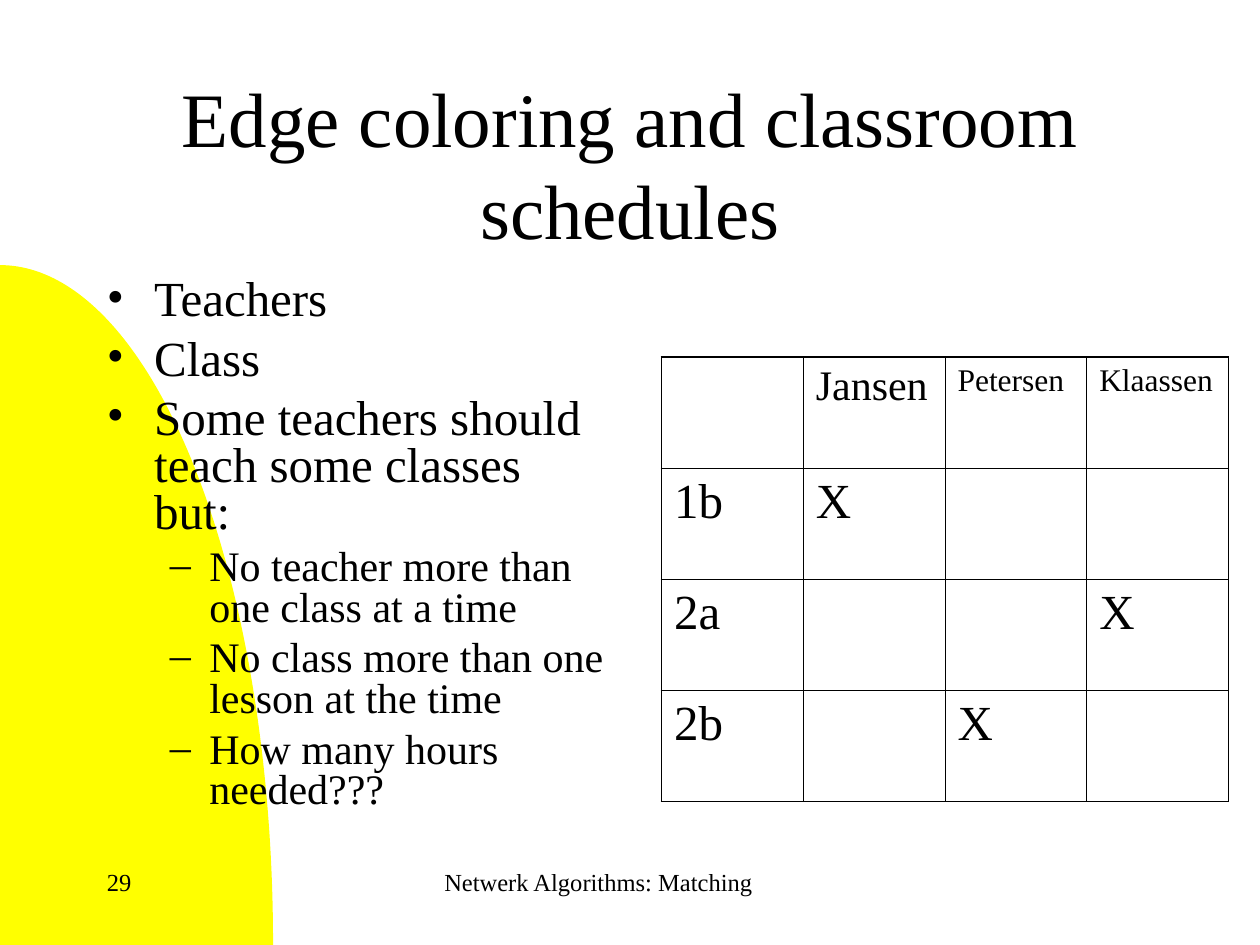
from lxml.etree import SubElement
from pptx import Presentation
from pptx.dml.color import RGBColor
from pptx.enum.shapes import MSO_SHAPE
from pptx.enum.text import MSO_ANCHOR, PP_ALIGN
from pptx.oxml.ns import qn
from pptx.util import Pt

BLACK = RGBColor(0x00, 0x00, 0x00)
YELLOW = RGBColor(0xFF, 0xFF, 0x00)

BULLETS = [
    ("Teachers", 0),
    ("Class", 0),
    ("Some teachers should teach some classes but:", 0),
    ("No teacher more than one class at a time", 1),
    ("No class more than one lesson at the time", 1),
    ("How many hours needed???", 1),
]
LEVELS = [("•", 28, 7, 27, 27), ("–", 24, 6, 58.5, 22.5)]

SCHEDULE = [
    ["", "Jansen", "Petersen", "Klaassen"],
    ["1b", "X", "", ""],
    ["2a", "", "", "X"],
    ["2b", "", "X", ""],
]
HEADER_SIZES = {"Jansen": 24, "Petersen": 18, "Klaassen": 18}


class SlideBuilder:
    font_name = "Times New Roman"
    inner_line = 0.45
    outer_line = 1.08

    def __init__(self, slide):
        self.slide = slide

    def style(self, paragraph, size):
        paragraph.font.name = self.font_name
        paragraph.font.size = Pt(size)
        paragraph.font.color.rgb = BLACK

    def ellipse(self, left, top, width, height, color):
        shape = self.slide.shapes.add_shape(
            MSO_SHAPE.OVAL, Pt(left), Pt(top), Pt(width), Pt(height)
        )
        shape.shadow.inherit = False
        shape.fill.solid()
        shape.fill.fore_color.rgb = color
        shape.line.fill.background()

    def frame(self, left, top, width, height, anchor=MSO_ANCHOR.TOP):
        box = self.slide.shapes.add_textbox(Pt(left), Pt(top), Pt(width), Pt(height))
        box.text_frame.word_wrap = True
        box.text_frame.vertical_anchor = anchor
        return box.text_frame

    def text(self, content, left, top, width, height, size,
             align=PP_ALIGN.LEFT, anchor=MSO_ANCHOR.TOP):
        paragraph = self.frame(left, top, width, height, anchor).paragraphs[0]
        paragraph.text = content
        paragraph.alignment = align
        self.style(paragraph, size)

    def bullets(self, items, left, top, width, height):
        frame = self.frame(left, top, width, height)
        for index, (content, level) in enumerate(items):
            character, size, space, margin, hanging = LEVELS[level]
            paragraph = frame.add_paragraph() if index else frame.paragraphs[0]
            paragraph.text = content
            paragraph.level = level
            paragraph.line_spacing = 0.8
            if index:
                paragraph.space_before = Pt(space)
            properties = paragraph._p.get_or_add_pPr()
            properties.set("marL", str(Pt(margin)))
            properties.set("indent", str(-Pt(hanging)))
            color = SubElement(properties, qn("a:buClr"))
            SubElement(color, qn("a:srgbClr"), val=str(BLACK))
            SubElement(properties, qn("a:buFont"), typeface=self.font_name)
            SubElement(properties, qn("a:buChar"), char=character)
            self.style(paragraph, size)

    def borders(self, cell, edges):
        properties = cell._tc.get_or_add_tcPr()
        for side, is_outer in edges.items():
            width = self.outer_line if is_outer else self.inner_line
            line = SubElement(properties, qn(f"a:ln{side}"), w=str(Pt(width)))
            fill = SubElement(line, qn("a:solidFill"))
            SubElement(fill, qn("a:srgbClr"), val=str(BLACK))

    def table(self, rows, left, top, width, height):
        row_count, column_count = len(rows), len(rows[0])
        table = self.slide.shapes.add_table(
            row_count, column_count, Pt(left), Pt(top), Pt(width), Pt(height)
        ).table
        table.first_row = False
        table.horz_banding = False
        for row_index, row in enumerate(rows):
            for column_index, content in enumerate(row):
                cell = table.cell(row_index, column_index)
                self.borders(cell, {
                    "L": column_index == 0,
                    "R": column_index == column_count - 1,
                    "T": row_index == 0,
                    "B": row_index == row_count - 1,
                })
                cell.fill.background()
                cell.text = content
                self.style(cell.text_frame.paragraphs[0], HEADER_SIZES.get(content, 28))


def main():
    presentation = Presentation()
    presentation.slide_width = Pt(720)
    presentation.slide_height = Pt(540)
    builder = SlideBuilder(presentation.slides.add_slide(presentation.slide_layouts[6]))

    builder.ellipse(-156, 151.5, 312, 775, YELLOW)
    builder.text("Edge coloring and classroom schedules", 54, 48, 612, 90, 44,
                 PP_ALIGN.CENTER, MSO_ANCHOR.MIDDLE)
    builder.bullets(BULLETS, 54, 156, 300, 324)
    builder.table(SCHEDULE, 378, 204, 324, 254)
    builder.text("Netwerk Algorithms: Matching", 228, 492, 228, 36, 14, PP_ALIGN.CENTER)
    builder.text("29", 54, 492, 150, 36, 14)

    presentation.save("out.pptx")


if __name__ == "__main__":
    main()
